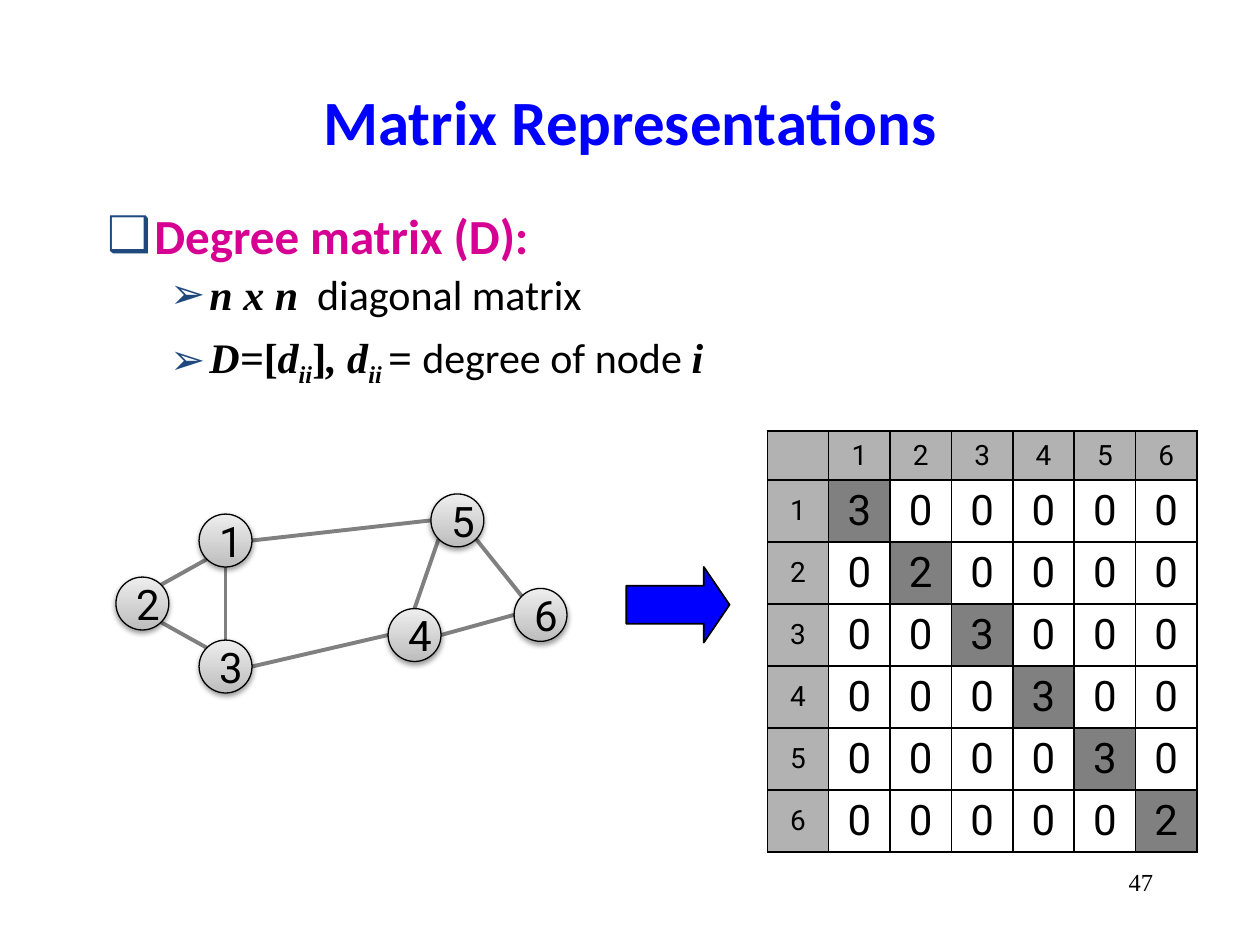
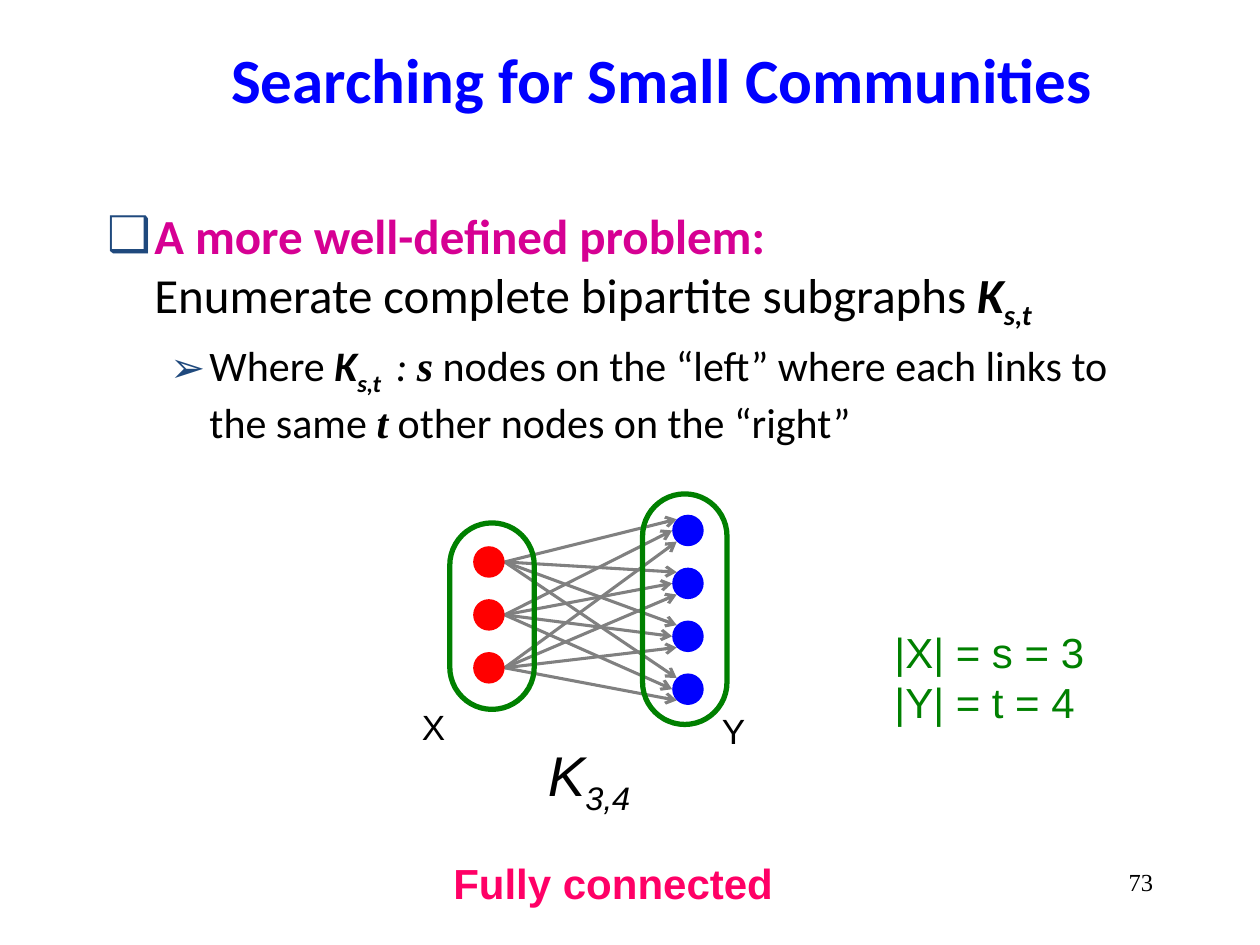
from lxml import etree
from pptx import Presentation
from pptx.dml.color import RGBColor
from pptx.enum.shapes import MSO_CONNECTOR, MSO_SHAPE
from pptx.enum.text import MSO_ANCHOR, MSO_AUTO_SIZE, PP_ALIGN
from pptx.oxml.ns import qn
from pptx.util import Inches, Pt

CENTER, RIGHT, LEFT = PP_ALIGN.CENTER, PP_ALIGN.RIGHT, PP_ALIGN.LEFT
MIDDLE = MSO_ANCHOR.MIDDLE
STRAIGHT = MSO_CONNECTOR.STRAIGHT
ELLIPSE, ARROW, ROUNDED = MSO_SHAPE.OVAL, MSO_SHAPE.RIGHT_ARROW, MSO_SHAPE.ROUNDED_RECTANGLE
NO_FIT, GROW = MSO_AUTO_SIZE.NONE, MSO_AUTO_SIZE.SHAPE_TO_FIT_TEXT

COLORS = {
    "black": "000000", "blue": "0000FF", "red": "FF0000", "green": "008000",
    "magenta": "D60093", "pink": "FF0066", "navy": "1F497D", "gray": "808080",
    "header": "B2B2B2", "node dark": "BDBDBD", "node light": "EEEEEE",
}
BULLETS = ("❑", "➢")
LIST_SIZES = (28, 24)

# Direction from a circle's centre to each point where an edge may meet it
DIAGONAL = 0.71
SITES = {
    "top": (0, -1), "bottom": (0, 1), "left": (-1, 0), "right": (1, 0),
    "top left": (-DIAGONAL, -DIAGONAL), "top right": (DIAGONAL, -DIAGONAL),
    "bottom left": (-DIAGONAL, DIAGONAL), "bottom right": (DIAGONAL, DIAGONAL),
}

HEADING = {"color": "magenta", "bold": True}
MATH = {"font": "Times New Roman", "bold": True, "italic": True}
UPRIGHT = {"font": "Times New Roman", "bold": True}
SYMBOL = {"bold": True, "italic": True}
SUBSCRIPT = {"baseline": -25}


def rgb(name):
    return RGBColor.from_string(COLORS[name])


def write(paragraph, text, size=24, font="Calibri", color="black",
          bold=False, italic=False, baseline=0):
    """Append one formatted run; a final newline becomes a line break."""
    run = paragraph.add_run()
    run.text = text.rstrip("\n")
    run.font.size = Pt(size)
    run.font.name = font
    run.font.color.rgb = rgb(color)
    run.font.bold = bold
    run.font.italic = italic
    if baseline:
        run._r.get_or_add_rPr().set("baseline", str(baseline * 1000))
    if text.endswith("\n"):
        paragraph.add_line_break()


def add_bullet(paragraph, character):
    properties = paragraph._p.get_or_add_pPr()
    color = etree.SubElement(properties, qn("a:buClr"))
    etree.SubElement(color, qn("a:srgbClr"), val=COLORS["navy"])
    etree.SubElement(properties, qn("a:buChar"), char=character)


def add_borders(cell):
    properties = cell._tc.get_or_add_tcPr()
    for side in ("a:lnL", "a:lnR", "a:lnT", "a:lnB"):
        line = etree.SubElement(properties, qn(side), w=str(Pt(1)))
        fill = etree.SubElement(line, qn("a:solidFill"))
        etree.SubElement(fill, qn("a:srgbClr"), val=COLORS["black"])


def add_soft_shadow(shape):
    effects = etree.SubElement(shape._element.spPr, qn("a:effectLst"))
    shadow = etree.SubElement(effects, qn("a:outerShdw"), blurRad=str(Pt(3.1)),
                              dist=str(Pt(1.6)), dir="5400000", rotWithShape="0")
    color = etree.SubElement(shadow, qn("a:srgbClr"), val=COLORS["black"])
    etree.SubElement(color, qn("a:alpha"), val="38000")


def site_point(center, diameter, site):
    """Return the point of a circle that lies in the named direction."""
    return tuple(c + diameter / 2 * step for c, step in zip(center, SITES[site]))


class Deck:
    def __init__(self):
        self.presentation = Presentation()
        self.presentation.slide_width = Inches(10)
        self.presentation.slide_height = Inches(7.5)
        self.slide = None

    def new_slide(self, title, number, title_box, items):
        layout = self.presentation.slide_layouts[1]
        self.slide = self.presentation.slides.add_slide(layout)
        self.title(title, title_box)
        self.body(items)
        self.text(str(number), (7.17, 6.83, 2.08, 0.5), wrap=True, align=RIGHT,
                  size=14, font="Times New Roman")

    def place(self, shape, box):
        shape.left, shape.top, shape.width, shape.height = map(Inches, box)

    def title(self, text, box):
        shape = self.slide.shapes.title
        self.place(shape, box)
        frame = shape.text_frame
        frame.auto_size = NO_FIT
        frame.vertical_anchor = MIDDLE
        frame.paragraphs[0].alignment = CENTER
        write(frame.paragraphs[0], text, size=36, color="blue", bold=True)

    def body(self, items):
        """Fill the list from (level, space before, runs) entries."""
        shape = self.slide.placeholders[1]
        self.place(shape, (0.75, 1.58, 8.5, 5.08))
        frame = shape.text_frame
        frame.auto_size = NO_FIT
        for index, (level, space, runs) in enumerate(items):
            paragraph = frame.add_paragraph() if index else frame.paragraphs[0]
            paragraph.level = level
            add_bullet(paragraph, BULLETS[level])
            paragraph.space_before = Pt(space)
            for text, style in runs:
                write(paragraph, text, size=LIST_SIZES[level], **style)

    def text(self, lines, box, wrap=False, align=LEFT, **style):
        """Add a text box; each line of the text is a paragraph."""
        frame = self.slide.shapes.add_textbox(*map(Inches, box)).text_frame
        frame.word_wrap = wrap
        frame.auto_size = NO_FIT if wrap else GROW
        for index, line in enumerate(lines.split("\n")):
            paragraph = frame.add_paragraph() if index else frame.paragraphs[0]
            paragraph.alignment = align
            write(paragraph, line, **style)
        return frame

    def shape(self, kind, box, fill=None, line=None, width=1, adjustments=()):
        shape = self.slide.shapes.add_shape(kind, *map(Inches, box))
        shape.shadow.inherit = False
        for index, value in enumerate(adjustments):
            shape.adjustments[index] = value
        if fill:
            shape.fill.solid()
            shape.fill.fore_color.rgb = rgb(fill)
        else:
            shape.fill.background()
        if line:
            shape.line.color.rgb = rgb(line)
            shape.line.width = Pt(width)
        else:
            shape.line.fill.background()
        return shape

    def circle(self, center, diameter, **style):
        x, y = center
        box = (x - diameter / 2, y - diameter / 2, diameter, diameter)
        return self.shape(ELLIPSE, box, **style)

    def node(self, label, center, diameter):
        shape = self.circle(center, diameter, line="black", width=0.75)
        shape.fill.gradient()
        shape.fill.gradient_angle = 90
        for stop, name in zip(shape.fill.gradient_stops, ("node dark", "node light")):
            stop.color.rgb = rgb(name)
        shape._element.spPr.remove(shape._element.spPr.find(qn("a:effectLst")))
        add_soft_shadow(shape)
        frame = shape.text_frame
        frame.vertical_anchor = MIDDLE
        frame.paragraphs[0].alignment = CENTER
        write(frame.paragraphs[0], label, font="Roboto")

    def edge(self, start, end, width, arrow=False):
        points = map(Inches, (*start, *end))
        connector = self.slide.shapes.add_connector(STRAIGHT, *points)
        connector.line.color.rgb = rgb("gray")
        connector.line.width = Pt(width)
        if arrow:
            etree.SubElement(connector.line._get_or_add_ln(), qn("a:tailEnd"), type="arrow")
        etree.SubElement(connector._element.spPr, qn("a:effectLst"))

    def diagonal_matrix(self, degrees, box, header_height, row_height):
        """Add a table with numbered headers and the degrees on its diagonal."""
        count = len(degrees) + 1
        table = self.slide.shapes.add_table(count, count, *map(Inches, box)).table
        table.first_row = table.horz_banding = False
        for index in range(count):
            table.columns[index].width = Inches(box[2] / count)
            table.rows[index].height = Inches(row_height if index else header_height)
        for row in range(count):
            for column in range(count):
                header, diagonal = not (row and column), row == column
                if header:
                    value = row + column or ""
                else:
                    value = degrees[row - 1] if diagonal else 0
                fill = "header" if header else "gray" if diagonal else None
                self.cell(table.cell(row, column), str(value), 16 if header else 24, fill)

    def cell(self, cell, text, size, fill):
        add_borders(cell)
        if fill:
            cell.fill.solid()
            cell.fill.fore_color.rgb = rgb(fill)
        else:
            cell.fill.background()
        cell.vertical_anchor = MIDDLE
        cell.margin_top = cell.margin_bottom = Inches(0.05 if text else 0)
        paragraph = cell.text_frame.paragraphs[0]
        paragraph.alignment = CENTER
        if text:
            write(paragraph, text, size=size, font="Roboto")


def build_degree_matrix(deck):
    deck.new_slide("Matrix Representations", 47, (0.75, 0.33, 8.5, 1.25), [
        (0, 0, [("Degree matrix (D):", HEADING)]),
        (1, 2.4, [("n x n", MATH), ("  diagonal matrix", {})]),
        (1, 7.2, [("D=", MATH), ("[", UPRIGHT), ("d", MATH), ("ii", MATH | SUBSCRIPT),
                  ("]", UPRIGHT), (", d", MATH), ("ii ", MATH | SUBSCRIPT),
                  ("= ", MATH), ("degree of node ", {}), ("i", MATH)]),
    ])
    deck.shape(ARROW, (4.97, 4.5, 0.82, 0.6), fill="blue", line="black",
               adjustments=(0.5, 0.34))

    diameter = 0.42
    centers = {1: (1.79, 4.29), 2: (1.13, 4.79), 3: (1.79, 5.29),
               4: (3.29, 5.04), 5: (3.63, 4.13), 6: (4.29, 4.88)}
    edges = [
        (1, "bottom left", 2, "top right"), (2, "bottom right", 3, "top left"),
        (1, "bottom", 3, "top"), (1, "right", 5, "left"), (3, "right", 4, "left"),
        (5, "bottom right", 6, "top left"), (4, "right", 6, "left"),
        (5, "bottom left", 4, "top"),
    ]
    for first, first_site, second, second_site in edges:
        deck.edge(site_point(centers[first], diameter, first_site),
                  site_point(centers[second], diameter, second_site), 2.25)
    for label, center in centers.items():
        deck.node(str(label), center, diameter)

    degrees = [sum(node in (edge[0], edge[2]) for edge in edges) for node in centers]
    deck.diagonal_matrix(degrees, (6.09, 3.42, 3.41, 3.35), 0.39, 0.49)


def build_small_communities(deck):
    deck.new_slide("Searching for Small Communities", 73, (0.5, 0.08, 9.5, 1.08), [
        (0, 0, [("A more well-defined problem:\n", HEADING),
                ("Enumerate complete bipartite subgraphs ", {}),
                ("K", SYMBOL), ("s,t", SYMBOL | SUBSCRIPT)]),
        (1, 4.8, [("Where ", {}), ("K", SYMBOL), ("s,t ", SYMBOL | SUBSCRIPT),
                  (" : ", {"italic": True}), ("s", MATH),
                  (" nodes on the “left” where each links to the same ", {}),
                  ("t", MATH), (" other nodes on the “right”", {})]),
    ])

    diameter, pitch = 0.25, 0.42
    sources = [(3.88, 4.46 + pitch * index) for index in range(3)]
    targets = [(5.46, 4.21 + pitch * index) for index in range(4)]
    for source, site in zip(sources, ("top left", "left", "bottom left")):
        for target in targets:
            deck.edge(site_point(source, diameter, "right"),
                      site_point(target, diameter, site), 1.75, arrow=True)
    for centers, color in ((sources, "red"), (targets, "blue")):
        for center in centers:
            deck.circle(center, diameter, fill=color)

    for box in ((3.57, 4.15, 0.67, 1.48), (5.1, 3.92, 0.67, 1.83)):
        deck.shape(ROUNDED, box, line="green", width=3, adjustments=(0.5,))
    frame = deck.text("K", (4.25, 5.83, 0.92, 0.64), size=32, font="Arial", italic=True)
    write(frame.paragraphs[0], "3,4", size=32, font="Arial", italic=True, **SUBSCRIPT)
    deck.text("|X| = s = 3\n|Y| = t = 4", (7, 4.92, 1.72, 0.91), font="Arial", color="green")
    deck.text("X", (3.25, 5.55, 0.39, 0.44), size=20, font="Arial")
    deck.text("Y", (5.63, 5.58, 0.39, 0.44), size=20, font="Arial")
    deck.text("Fully connected", (3.5, 6.76, 2.76, 0.5), font="Arial", color="pink", bold=True)


def main():
    deck = Deck()
    build_degree_matrix(deck)
    build_small_communities(deck)
    deck.presentation.save("out.pptx")


if __name__ == "__main__":
    main()
